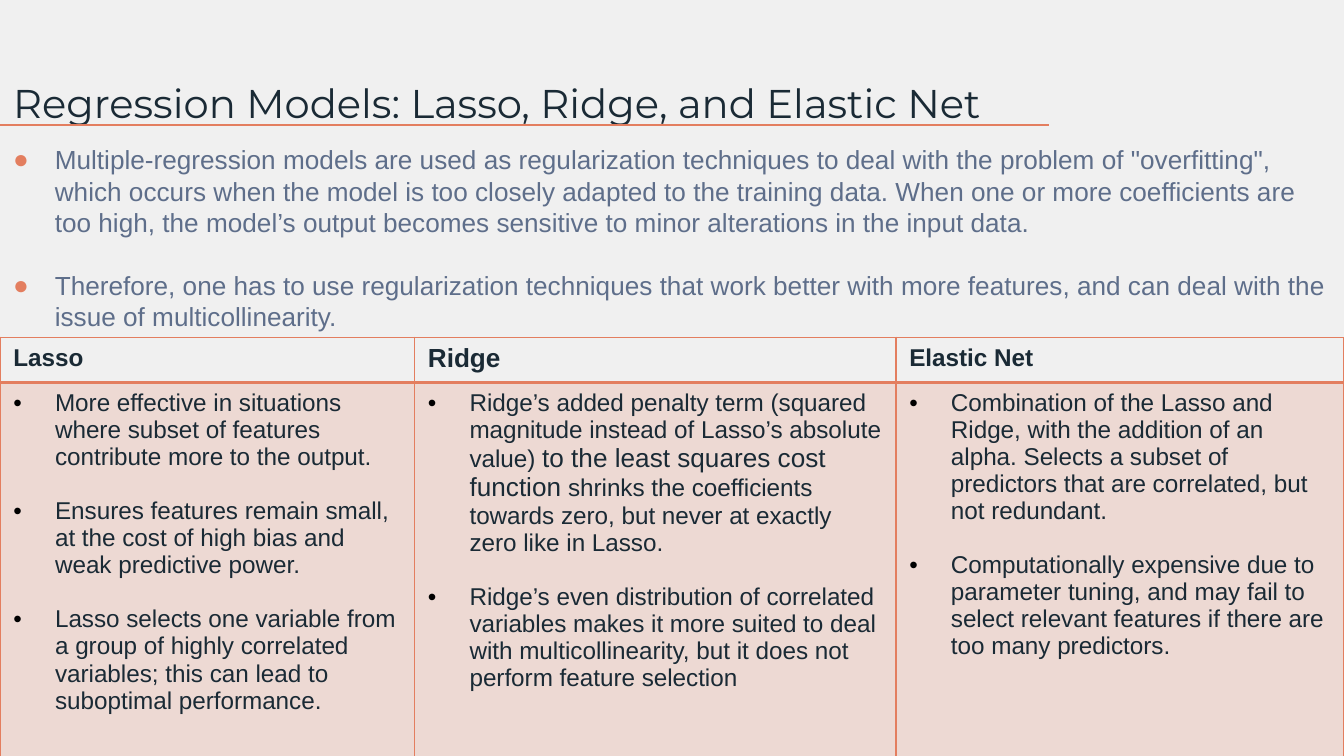
import pptx
import pptx.dml.color
import pptx.enum.shapes
import pptx.oxml
import pptx.oxml.ns
import pptx.util
from lxml import etree

W = 10
H = W * 9 / 16
COLORS = {"bg": "F0F0F0", "ink": "1A2A35", "accent": "E37E5F",
          "body": "5E6E8A", "bullet": "000000"}
COLUMNS = [30.84, 35.82, 33.34]
ROWS = [5.95, 49.5]
INTRO = [
    "Multiple-regression models are used as regularization techniques to deal with the problem of \"overfitting\", which occurs when the model is too closely adapted to the training data. When one or more coefficients are too high, the model’s output becomes sensitive to minor alterations in the input data.",
    "Therefore, one has to use regularization techniques that work better with more features, and can deal with the issue of multicollinearity.",
]
MODELS = [
    ("Lasso", 13, [
        "More effective in situations where subset of features contribute more to the output.",
        "Ensures features remain small, at the cost of high bias and weak predictive power.",
        "Lasso selects one variable from a group of highly correlated variables; this can lead to suboptimal performance."]),
    ("Ridge", 14, [
        [("Ridge’s added penalty term (squared magnitude instead of Lasso’s absolute value) ", 13),
         ("to the least squares cost function", 14),
         (" shrinks the coefficients towards zero, but never at exactly zero like in Lasso.", 13)],
        "Ridge’s even distribution of correlated variables makes it more suited to deal with multicollinearity, but it does not perform feature selection"]),
    ("Elastic Net", 13, [
        "Combination of the Lasso and Ridge, with the addition of an alpha. Selects a subset of predictors that are correlated, but not redundant.",
        "Computationally expensive due to parameter tuning, and may fail to select relevant features if there are too many predictors."]),
]


def across(share):
    """Convert a percentage of the slide width to a length."""
    return pptx.util.Inches(W * share / 100)


def down(share):
    """Convert a percentage of the slide height to a length."""
    return pptx.util.Inches(H * share / 100)


def rgb(name):
    """Look up a named colour."""
    return pptx.dml.color.RGBColor.from_string(COLORS[name])


def add_xml(parent, tag, **attrs):
    """Append a DrawingML element and return it."""
    return etree.SubElement(parent, pptx.oxml.ns.qn("a:" + tag), attrs)


def set_bullet(p, char, color):
    """Give a paragraph a hanging coloured bullet."""
    pPr = p._p.get_or_add_pPr()
    indent = pptx.util.Inches(0.31)
    pPr.set("marL", str(indent))
    pPr.set("indent", str(-indent))
    add_xml(add_xml(pPr, "buClr"), "srgbClr", val=COLORS[color])
    add_xml(pPr, "buFont", typeface="Arial")
    add_xml(pPr, "buChar", char=char)


def write(tf, paragraphs, size=13, font="Arial", color="ink", bold=False,
          bullet=None, bullet_color="bullet", gap=0):
    """Fill a text frame with formatted paragraphs."""
    tf.word_wrap = True
    for i, content in enumerate(paragraphs):
        p = tf.add_paragraph() if i else tf.paragraphs[0]
        if i:
            p.space_before = pptx.util.Pt(gap)
        if bullet:
            set_bullet(p, bullet, bullet_color)
        runs = [(content, size)] if isinstance(content, str) else content
        for text, points in runs:
            r = p.add_run()
            r.text = text
            r.font.size = pptx.util.Pt(points)
            r.font.name = font
            r.font.bold = bold
            r.font.color.rgb = rgb(color)


def add_text(s, left, top, width, height, paragraphs, inset=0.05, **style):
    """Add a text box placed by slide shares."""
    sp = s.shapes.add_textbox(across(left), down(top), across(width), down(height))
    tf = sp.text_frame
    tf.margin_top = tf.margin_bottom = pptx.util.Inches(inset)
    write(tf, paragraphs, **style)


def add_rule(s, right, top):
    """Draw the thin rule below the title."""
    line = s.shapes.add_connector(pptx.enum.shapes.MSO_CONNECTOR.STRAIGHT,
                                  0, down(top), across(right), down(top))
    line.line.color.rgb = rgb("accent")
    line.line.width = pptx.util.Pt(0.75)
    add_xml(line._element.spPr, "effectLst")


def set_borders(cell, bottom=1):
    """Outline a cell in the accent colour."""
    tcPr = cell._tc.get_or_add_tcPr()
    for i, (side, points) in enumerate(zip("LRTB", (1, 1, 1, bottom))):
        ln = add_xml(tcPr, "ln" + side, w=str(pptx.util.Pt(points)))
        add_xml(add_xml(ln, "solidFill"), "srgbClr", val=COLORS["accent"])
        tcPr.insert(i, ln)


def tint(cell, percent):
    """Fill a cell with the translucent accent colour."""
    cell.fill.solid()
    cell.fill.fore_color.rgb = rgb("accent")
    clr = cell._tc.tcPr.find(".//" + pptx.oxml.ns.qn("a:srgbClr"))
    add_xml(clr, "alpha", val=str(percent * 1000))


def add_models_table(s, top):
    """Add the table that compares the three models."""
    table = s.shapes.add_table(len(ROWS), len(COLUMNS), 0, down(top),
                               across(100), down(sum(ROWS))).table
    table.first_row = table.horz_banding = False
    for row, share in zip(table.rows, ROWS):
        row.height = down(share)
    for i, (name, size, points) in enumerate(MODELS):
        table.columns[i].width = across(COLUMNS[i])
        head, body = table.cell(0, i), table.cell(1, i)
        head.fill.background()
        set_borders(head, bottom=2)
        write(head.text_frame, [name], size=size, bold=True)
        tint(body, 20)
        set_borders(body)
        write(body.text_frame, points, bullet="•", gap=14.5)


def main():
    """Build and save the slide."""
    prs = pptx.Presentation()
    prs.slide_width, prs.slide_height = across(100), down(100)
    s = prs.slides.add_slide(prs.slide_layouts[6])
    s.background.fill.solid()
    s.background.fill.fore_color.rgb = rgb("bg")
    add_text(s, 0, 8.6, 81.5, 9.6, ["Regression Models: Lasso, Ridge, and Elastic Net"],
             inset=0.1, size=21.5, font="Montserrat")
    add_rule(s, 78.05, 16.55)
    add_text(s, 0, 18.13, 100, 26.84, INTRO, size=14, color="body",
             bullet="●", bullet_color="accent", gap=16.9)
    add_models_table(s, 44.64)
    prs.save("out.pptx")


if __name__ == "__main__":
    main()
